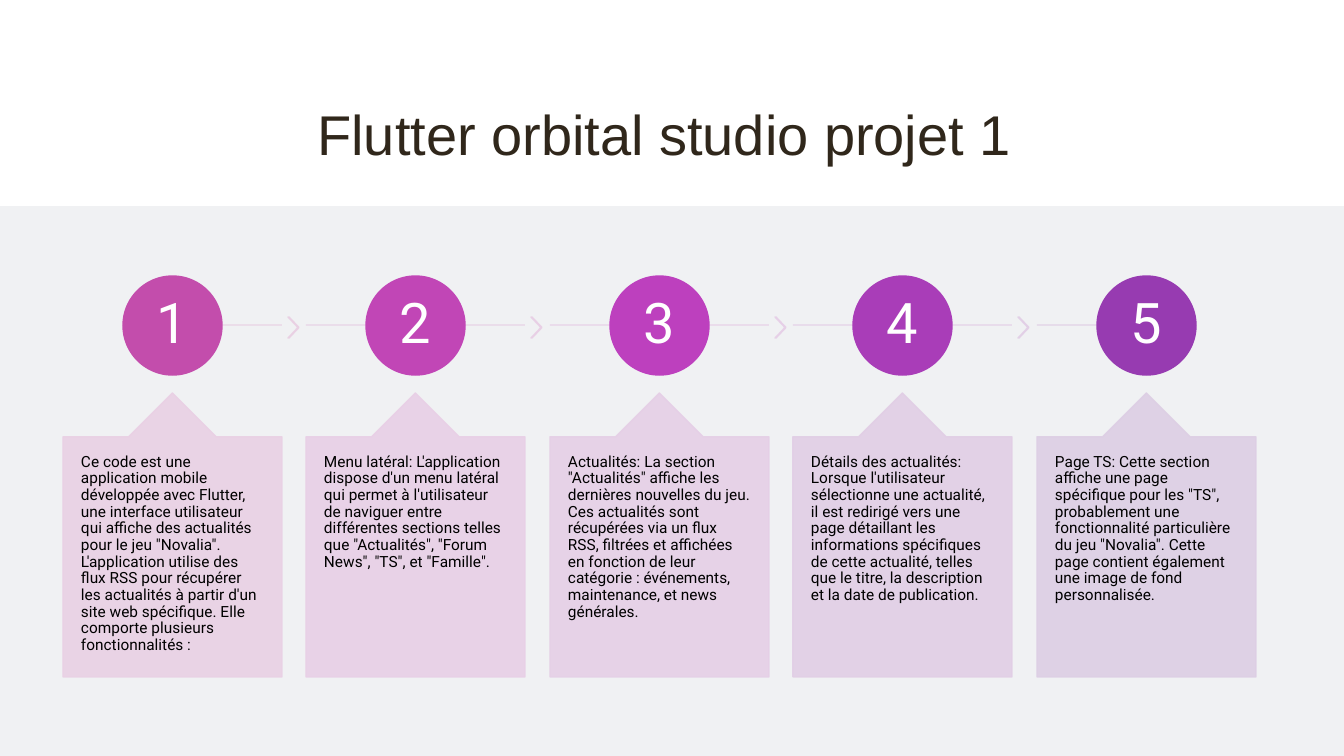
from lxml.etree import SubElement
from pptx import Presentation
from pptx.dml.color import RGBColor
from pptx.enum.shapes import MSO_CONNECTOR, MSO_SHAPE as Form
from pptx.enum.text import MSO_ANCHOR as Anchor, PP_ALIGN as Align
from pptx.oxml.ns import qn
from pptx.util import Emu, Pt

COLUMN_WIDTH = 219
LINE_TOP = 325

# text, circle, line, chevron, callout
STEPS = [
    ("Ce code est une application mobile développée avec Flutter, une interface "
     "utilisateur qui affiche des actualités pour le jeu \"Novalia\". L'application "
     "utilise des flux RSS pour récupérer les actualités à partir d'un site web "
     "spécifique. Elle comporte plusieurs fonctionnalités :",
     "C34DAC", "E9D0E3", "E9D0E3", "E9D0E4"),
    ("Menu latéral: L'application dispose d'un menu latéral qui permet à "
     "l'utilisateur de naviguer entre différentes sections telles que "
     "\"Actualités\", \"Forum News\", \"TS\", et \"Famille\".",
     "C146B6", "E8D0E5", "E8CFE5", "E8CFE6"),
    ("Actualités: La section \"Actualités\" affiche les dernières nouvelles du jeu. "
     "Ces actualités sont récupérées via un flux RSS, filtrées et affichées en "
     "fonction de leur catégorie : événements, maintenance, et news générales.",
     "BD40BE", "E7CFE7", "E6CFE7", "E5CFE6"),
    ("Détails des actualités: Lorsque l'utilisateur sélectionne une actualité, il "
     "est redirigé vers une page détaillant les informations spécifiques de cette "
     "actualité, telles que le titre, la description et la date de publication.",
     "A93DB8", "E4CFE6", "E2CFE6", "E1CEE5"),
    ("Page TS: Cette section affiche une page spécifique pour les \"TS\", "
     "probablement une fonctionnalité particulière du jeu \"Novalia\". Cette page "
     "contient également une image de fond personnalisée.",
     "973BB1", "E0CEE5", None, "DDCEE4"),
]


def px(length):
    return Emu(round(length * 914400 / 100.8))


def color(value):
    return RGBColor.from_string(value)


def set_opacity(shape, percent):
    for paint in shape._element.spPr.iter(qn("a:srgbClr")):
        SubElement(paint, qn("a:alpha")).set("val", str(percent * 1000))


def add_form(page, form, box, fill, outlined=True, opacity=100, adjustments=()):
    shape = page.shapes.add_shape(form, *map(px, box))
    shape.shadow.inherit = False
    for index, value in enumerate(adjustments):
        shape.adjustments[index] = value
    shape.fill.solid()
    shape.fill.fore_color.rgb = color(fill)
    if outlined:
        shape.line.color.rgb = color(fill)
        shape.line.width = Pt(1)
    else:
        shape.line.fill.background()
    if opacity < 100:
        set_opacity(shape, opacity)


def add_line(page, left, right, stroke):
    line = page.shapes.add_connector(
        MSO_CONNECTOR.STRAIGHT, px(left), px(LINE_TOP), px(right), px(LINE_TOP))
    line.line.color.rgb = color(stroke)
    line.line.width = Pt(1)
    set_opacity(line, 90)
    SubElement(line._element.spPr, qn("a:effectLst"))


def add_text(page, text, box, size, font, ink, inset, centred=True, spacing=1.0):
    frame = page.shapes.add_textbox(*map(px, box)).text_frame
    frame.word_wrap = True
    frame.margin_left = frame.margin_right = px(inset)
    frame.margin_top = frame.margin_bottom = px(inset)
    frame.vertical_anchor = Anchor.MIDDLE if centred else Anchor.TOP
    para = frame.paragraphs[0]
    para.text = text
    para.alignment = Align.CENTER if centred else Align.LEFT
    para.line_spacing = spacing
    span = para.runs[0].font
    span.size, span.name, span.color.rgb = Pt(size), font, color(ink)


def add_step(page, index, text, circle, stroke, chevron, callout):
    left = 63 + index * 487 // 2
    middle, right = left + COLUMN_WIDTH // 2, left + COLUMN_WIDTH
    is_last = index == len(STEPS) - 1
    add_line(page, left if index else middle, middle if is_last else right, stroke)
    if chevron:
        add_form(page, Form.CHEVRON, (left + 225, 317, 11, 21), chevron,
                 opacity=90, adjustments=[0.9])
    add_form(page, Form.OVAL, (left + 60, 276, 99, 99), circle)
    add_text(page, str(index + 1), (left + 74, 290, 70, 70), 40, "Roboto", "FFFFFF",
             4, spacing=0.9)
    add_form(page, Form.UP_ARROW_CALLOUT, (left, 393, COLUMN_WIDTH, 284), callout,
             opacity=90, adjustments=[0.5, 0.2, 0.2, 1])
    add_text(page, text, (left, 436, COLUMN_WIDTH, 241), 11, "Roboto", "000000",
             18, centred=False, spacing=0.9)


def main():
    deck = Presentation()
    deck.slide_width, deck.slide_height = px(1344), px(756)
    page = deck.slides.add_slide(deck.slide_layouts[6])
    add_form(page, Form.RECTANGLE, (0, 0, 1344, 756), "FFFFFF", outlined=False)
    add_text(page, "Flutter orbital studio projet 1", (149, 78, 1030, 110), 40,
             "Arial", "30271B", 5)
    add_form(page, Form.RECTANGLE, (0, 206, 1344, 550), "F0F1F3", outlined=False)
    for index, step in enumerate(STEPS):
        add_step(page, index, *step)
    deck.save("out.pptx")


if __name__ == "__main__":
    main()
